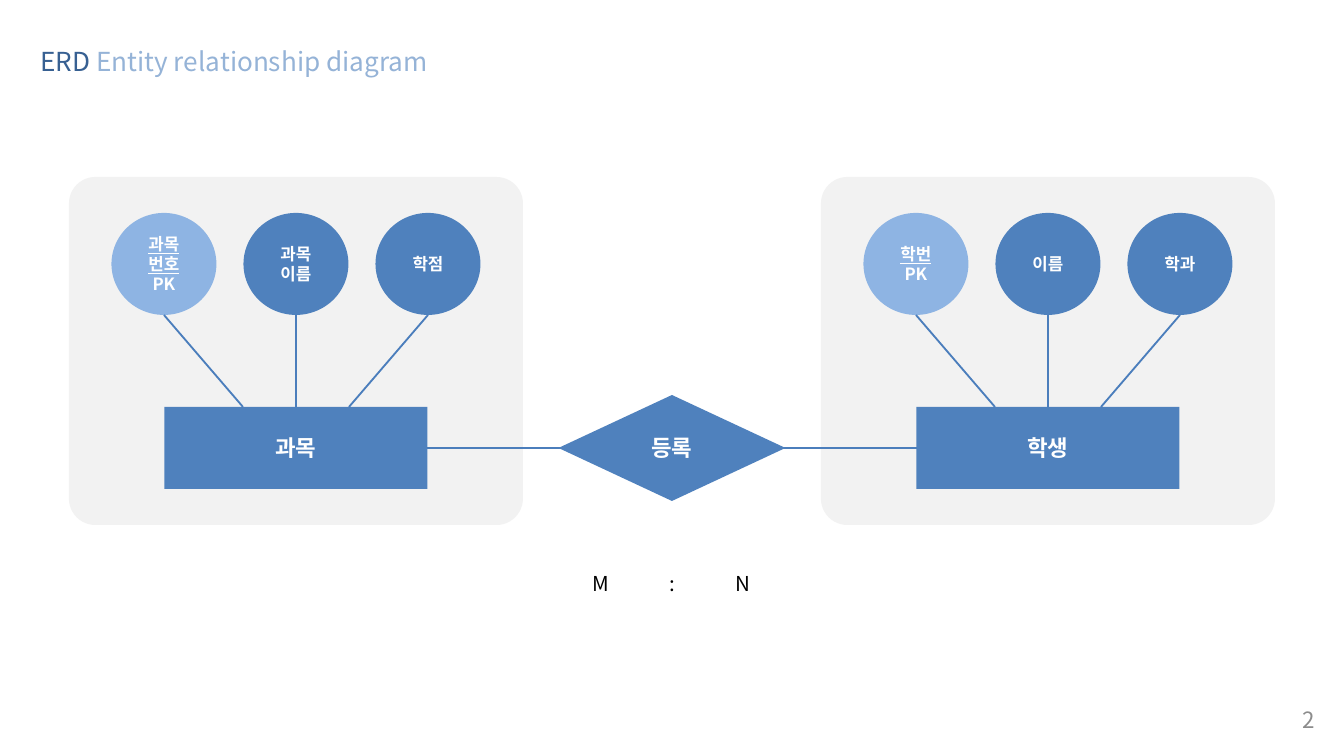
from copy import deepcopy
from dataclasses import dataclass

from lxml.etree import SubElement
from pptx import Presentation
from pptx.dml.color import RGBColor as Rgb
from pptx.enum.shapes import MSO_CONNECTOR as Conn, MSO_SHAPE as Kind
from pptx.enum.text import MSO_ANCHOR as Anchor, PP_ALIGN as Align
from pptx.oxml.ns import qn
from pptx.util import Pt

SCALE = 914400 / 134.4
FONT = "Noto Sans CJK KR"
BLUE, PALE, GRAY, WHITE = "4F81BD", "8EB4E3", "F2F2F2", "FFFFFF"
LINE = "4B7EBC"
STEP = 132       # between circle centres
FOOT = 53        # between line ends on the entity box
CIRCLE_END, BOX_TOP = 315, 407
BOX_W, BOX_H = 263, 82
JOIN_Y = 448


@dataclass
class Entity:
    """An entity with its key and its other fields."""
    name: str
    mid: int
    fields: tuple[str, ...]


ENTITIES = [
    Entity("과목", 296, ("과목\v번호\vPK", "과목\v이름", "학점")),
    Entity("학생", 1048, ("학번\vPK", "이름", "학과")),
]


def px(n: float) -> int:
    """Turn pixels into EMU."""
    return round(n * SCALE)


def color(target, code: str) -> None:
    """Give a fill, a line or a font a solid colour."""
    if hasattr(target, "solid"):
        target.solid()
        target.fore_color.rgb = Rgb.from_string(code)
    else:
        target.color.rgb = Rgb.from_string(code)


def style(run, size: float, code: str, bold: bool = False) -> None:
    """Set the font of one run."""
    font = run.font
    font.size, font.bold = Pt(size), bold
    color(font, code)
    font.name = FONT
    SubElement(run._r.rPr, qn("a:ea"), typeface=FONT)


def write(shape, text: str, size: float, code: str,
          align=Align.CENTER, bold: bool = False):
    """Write one paragraph into a shape and return it."""
    para = shape.text_frame.paragraphs[0]
    para.text = text
    para.alignment = align
    for run in para.runs:
        style(run, size, code, bold)
    for gap in para._p.findall(qn("a:br")):
        gap.insert(0, deepcopy(para.runs[0]._r.rPr))
    return para


def block(shapes, kind, mid: int, top: int, wide: int, high: int,
          fill: str, text: str = "", size: float = 12):
    """Draw a filled shape centred on mid, with bold white text."""
    shape = shapes.add_shape(kind, px(mid - wide / 2), px(top),
                             px(wide), px(high))
    shape.shadow.inherit = False
    color(shape.fill, fill)
    shape.line.fill.background()
    shape.text_frame.vertical_anchor = Anchor.MIDDLE
    if text:
        write(shape, text, size, WHITE, bold=True)
    return shape


def link(shapes, x1: int, y1: int, x2: int, y2: int, width: float) -> None:
    """Draw a straight line."""
    line = shapes.add_connector(Conn.STRAIGHT, px(x1), px(y1), px(x2), px(y2))
    color(line.line, LINE)
    line.line.width = Pt(width)
    SubElement(line._element.spPr, qn("a:effectLst"))


def label(shapes, left: int, top: int, wide: int, high: int):
    """Add an empty text box that wraps."""
    box = shapes.add_textbox(px(left), px(top), px(wide), px(high))
    box.text_frame.word_wrap = True
    return box


def draw(shapes, item: Entity) -> None:
    """Draw an entity panel as one group."""
    group = shapes.add_group_shape().shapes
    panel = block(group, Kind.ROUNDED_RECTANGLE, item.mid, 177, 454, 348, GRAY)
    panel.adjustments[0] = 0.076
    block(group, Kind.RECTANGLE, item.mid, BOX_TOP, BOX_W, BOX_H,
          BLUE, item.name)
    for i, text in enumerate(item.fields):
        key = i == 0
        mid = item.mid + (i - 1) * STEP
        circle = block(group, Kind.OVAL, mid, 213, 105, 102,
                       PALE if key else BLUE, text, 9)
        if key:
            for run in circle.text_frame.paragraphs[0].runs[:-1]:
                run.font.underline = True
        link(group, mid, CIRCLE_END, item.mid + (i - 1) * FOOT, BOX_TOP, 1)


def main() -> None:
    """Build the slide."""
    deck = Presentation()
    deck.slide_width, deck.slide_height = px(1344), px(756)
    shapes = deck.slides.add_slide(deck.slide_layouts[6]).shapes

    page = label(shapes, 1253, 700, 75, 40)
    page.text_frame.vertical_anchor = Anchor.MIDDLE
    write(page, "2", 12, "8C8C8C", Align.RIGHT)

    title = label(shapes, 27, 39, 695, 46)
    para = write(title, "ERD ", 14, "376092", Align.LEFT)
    rest = para.add_run()
    rest.text = "Entity relationship diagram"
    style(rest, 14, "95B3D7")

    for item in ENTITIES:
        draw(shapes, item)
    left, right = (item.mid for item in ENTITIES)
    link(shapes, left + BOX_W // 2, JOIN_Y, right - BOX_W // 2, JOIN_Y, 0.75)
    for i, text in enumerate("M:N"):
        box = label(shapes, 570 + i * 71, 540, 62, 55)
        para = write(box, text, 11, "000000")
        para.line_spacing = 2.0
        props = para._p.get_or_add_pPr()
        props.set("marL", str(px(13)))
        props.set("indent", str(px(-13)))
    block(shapes, Kind.DIAMOND, 672, 395, 227, 106, BLUE, "등록")

    deck.save("out.pptx")


main()
